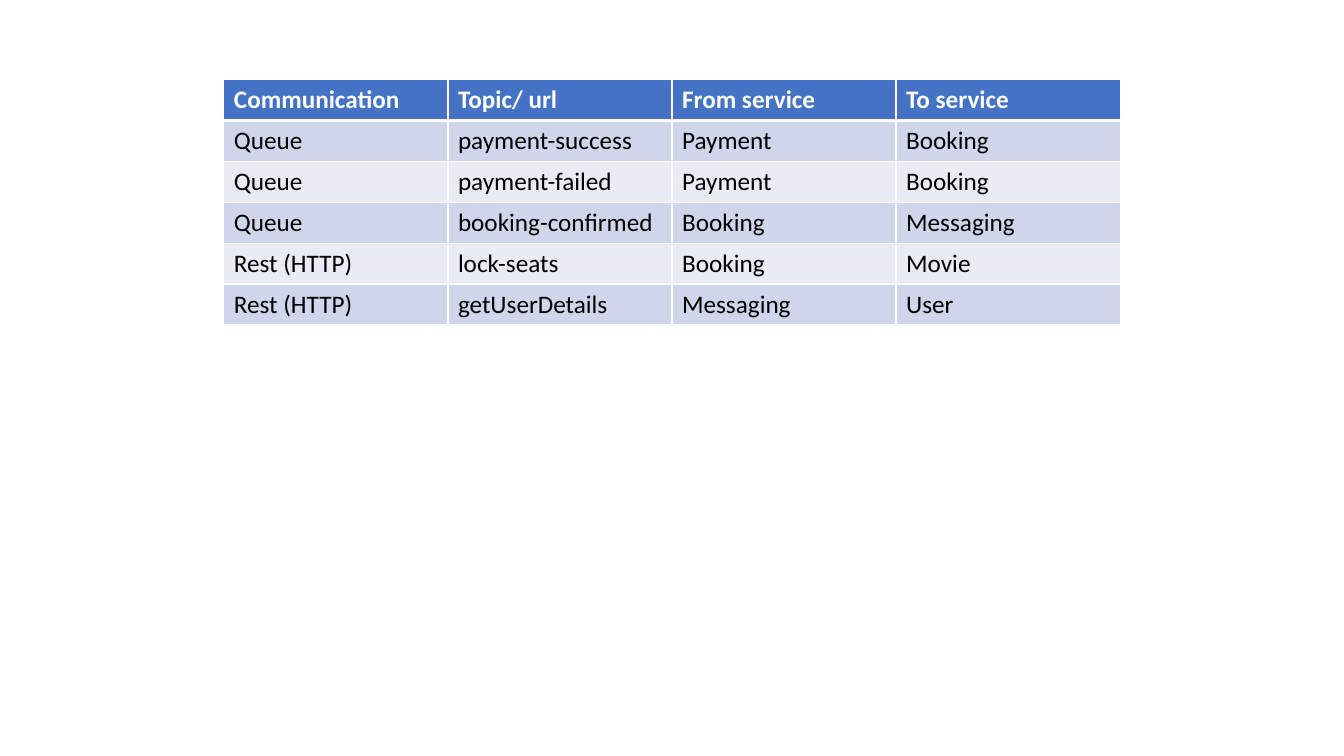
from dataclasses import dataclass

from lxml import etree
from pptx import Presentation
from pptx.dml.color import RGBColor
from pptx.enum.text import MSO_ANCHOR
from pptx.oxml.ns import qn
from pptx.util import Inches, Pt

TOP = MSO_ANCHOR.TOP

HEADINGS = ("Communication", "Topic/ url", "From service", "To service")
MESSAGES = [
    ("Queue", "payment-success", "Payment", "Booking"),
    ("Queue", "payment-failed", "Payment", "Booking"),
    ("Queue", "booking-confirmed", "Booking", "Messaging"),
    ("Rest (HTTP)", "lock-seats", "Booking", "Movie"),
    ("Rest (HTTP)", "getUserDetails", "Messaging", "User"),
]


@dataclass(frozen=True)
class Theme:
    font: str = "Calibri"
    text_size: int = 18
    heading_text: str = "FFFFFF"
    body_text: str = "000000"
    heading_fill: str = "4472C4"
    band_fills: tuple = ("CFD5EA", "E9EBF5")
    rule: str = "FFFFFF"
    thin_rule: int = 1
    heading_rule: int = 3


THEME = Theme()


def add_border(cell, side, width):
    """Draw one cell edge; side is L, R, T or B."""
    edge = etree.SubElement(cell._tc.get_or_add_tcPr(), qn(f"a:ln{side}"), w=str(Pt(width)))
    fill = etree.SubElement(edge, qn("a:solidFill"))
    etree.SubElement(fill, qn("a:srgbClr"), val=THEME.rule)


def fill_cell(cell, text, row):
    is_heading = row == 0
    # The heavy rule is shared by the heading row and the first message row.
    heavy_side = {0: "B", 1: "T"}.get(row)
    for side in "LRTB":
        add_border(cell, side, THEME.heading_rule if side == heavy_side else THEME.thin_rule)

    background = THEME.heading_fill if is_heading else THEME.band_fills[(row - 1) % 2]
    cell.fill.solid()
    cell.fill.fore_color.rgb = RGBColor.from_string(background)
    cell.vertical_anchor = TOP

    run = cell.text_frame.paragraphs[0].add_run()
    run.text = text
    run.font.name = THEME.font
    run.font.size = Pt(THEME.text_size)
    run.font.bold = is_heading
    run.font.color.rgb = RGBColor.from_string(
        THEME.heading_text if is_heading else THEME.body_text)


def main():
    deck = Presentation()
    deck.slide_width, deck.slide_height = Inches(13.33), Inches(7.5)
    slide = deck.slides.add_slide(deck.slide_layouts[6])

    rows = [HEADINGS, *MESSAGES]
    table = slide.shapes.add_table(
        len(rows), len(HEADINGS),
        Inches(2.22), Inches(0.79), Inches(8.89), Inches(2.43)).table
    for row, texts in enumerate(rows):
        for column, text in enumerate(texts):
            fill_cell(table.cell(row, column), text, row)

    deck.save("out.pptx")


if __name__ == "__main__":
    main()
